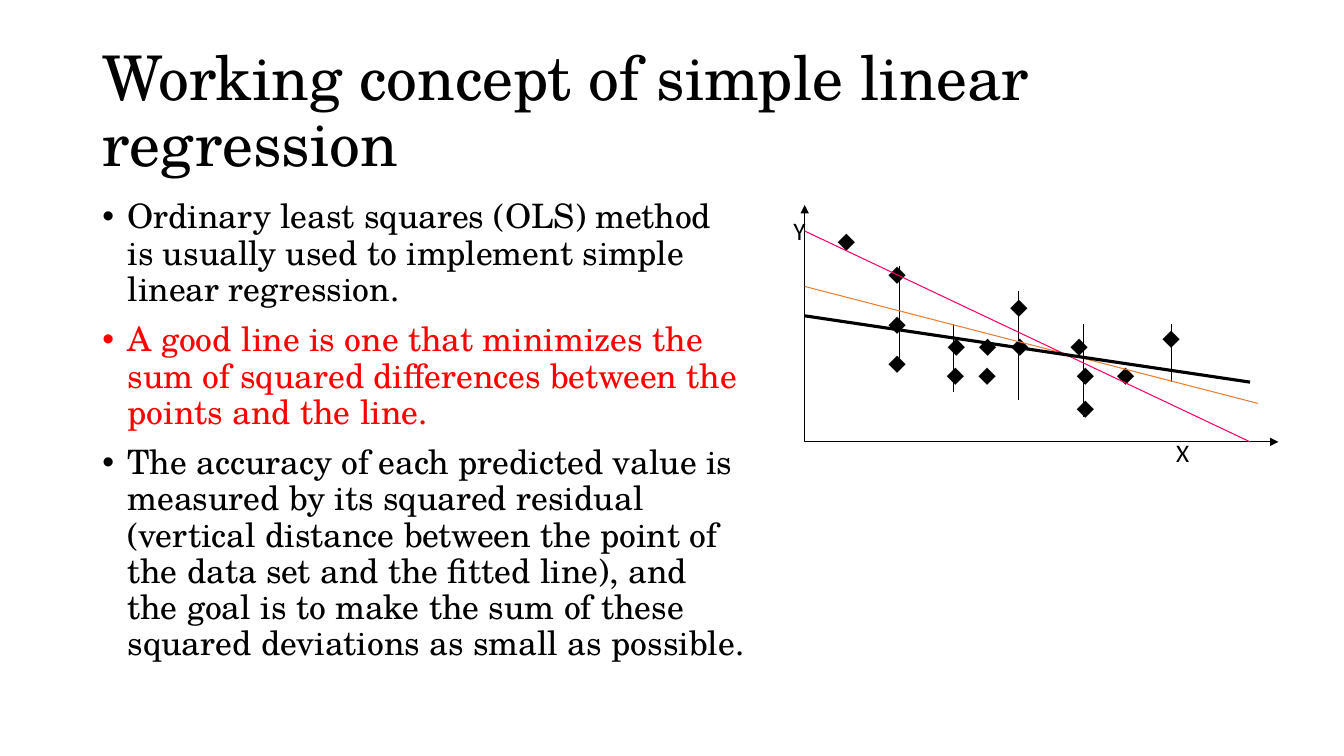
from dataclasses import dataclass
from typing import NamedTuple

from pptx import Presentation, util as u
from pptx.dml.color import RGBColor
from pptx.enum import shapes, text
from pptx.oxml import ns, xmlchemy as xml


@dataclass(frozen=True)
class Theme:
    serif: str = "TeX Gyre Schola"
    symbol: str = "Arial"
    label: str = "Calibri"
    black: str = "000000"
    red: str = "FF0000"
    orange: str = "ED7D31"
    pink: str = "FF0066"
    title: float = 44
    body: float = 24
    mark: float = 18
    thin: float = 0.75
    thick: float = 2.25


class Point(NamedTuple):
    """A place in plot units, y upwards."""
    x: float
    y: float


class Segment(NamedTuple):
    start: Point
    end: Point
    color: str
    width: float


class Mark(NamedTuple):
    text: str
    at: Point
    font: str


class Bullet(NamedTuple):
    text: str
    color: str


T = Theme()
WIDTH, HEIGHT = u.Inches(13.333), u.Inches(7.5)
COL, ROW = WIDTH / 160, HEIGHT / 90

# The plot is 100 units wide and 50 high, measured from the axes' corner.
PLOT_LEFT, PLOT_BASE = 95.8 * COL, 52.6 * ROW
UNIT = 56.4 * COL / 100
MARK_W, MARK_H = 4.2 * COL, 4.8 * ROW

BULLETS = [
    Bullet("Ordinary least squares (OLS) method is usually used to implement "
           "simple linear regression.", T.black),
    Bullet("A good line is one that minimizes the sum of squared differences "
           "between the points and the line.", T.red),
    Bullet("The accuracy of each predicted value is measured by its squared "
           "residual (vertical distance between the point of the data set and "
           "the fitted line), and the goal is to make the sum of these squared "
           "deviations as small as possible.", T.black),
]

# Height of each row of data, with the x values found there.
DATA = {42.8: [8.6], 35.7: [19.3], 28.7: [45], 25.1: [19.3], 22.3: [77.1],
        20.6: [31.8, 38.4, 45.2, 57.7], 17: [19.3],
        14.5: [31.6, 38.3, 59, 67.5], 7.4: [59]}
MARKS = [Mark("⬥", Point(x, y), T.symbol) for y, xs in DATA.items() for x in xs]
MARKS += [Mark("X", Point(79.8, -2.3), T.label),
          Mark("Y", Point(-1.1, 44.7), T.label)]

# x, top and bottom of each vertical residual.
RESIDUALS = [(20, 37.2, 16), (31.5, 24.9, 10.6), (45.1, 31.9, 8.9),
             (58.9, 24.9, 5.3), (77.4, 24.9, 12.6)]
SEGMENTS = [Segment(Point(x, top), Point(x, bottom), T.black, T.thin)
            for x, top, bottom in RESIDUALS]
SEGMENTS += [
    Segment(Point(0, 32.8), Point(95.7, 8.1), T.orange, T.thin),
    Segment(Point(0, 44.5), Point(94, 0), T.pink, T.thin),
    Segment(Point(0, 26.6), Point(94, 12.6), T.black, T.thick),
]


def place(p: Point) -> tuple[int, int]:
    """Turn plot units into slide lengths."""
    return round(PLOT_LEFT + p.x * UNIT), round(PLOT_BASE - p.y * UNIT)


def grid_box(col: float, row: float, cols: float, rows: float) -> list[int]:
    return [round(v) for v in (col * COL, row * ROW, cols * COL, rows * ROW)]


def format_runs(p, font: str, size: float, color: str) -> None:
    for r in p.runs:
        r.font.name, r.font.size = font, u.Pt(size)
        r.font.color.rgb = RGBColor.from_string(color)


def format_line(line, color: str, width: float) -> None:
    line.color.rgb = RGBColor.from_string(color)
    line.width = u.Pt(width)


def add_title(s, wording: str) -> None:
    sp = s.shapes.title
    sp.left, sp.top, sp.width, sp.height = grid_box(11, 4.8, 138, 17.4)
    tf = sp.text_frame
    tf.text = wording
    tf.word_wrap, tf.auto_size = True, text.MSO_AUTO_SIZE.NONE
    tf.vertical_anchor = text.MSO_ANCHOR.MIDDLE
    p = tf.paragraphs[0]
    p.alignment, p.line_spacing = text.PP_ALIGN.LEFT, 0.9
    format_runs(p, T.serif, T.title, T.black)


def add_bullets(s, bullets: list[Bullet]) -> None:
    tf = s.shapes.add_textbox(*grid_box(11, 23.2, 79, 62)).text_frame
    tf.word_wrap = True
    tf.text = "\n".join(b.text for b in bullets)
    for p, bullet in zip(tf.paragraphs, bullets):
        p.line_spacing, p.space_before = 0.9, u.Pt(10)
        format_runs(p, T.serif, T.body, bullet.color)
        pPr = p._p.get_or_add_pPr()
        pPr.set("marL", str(u.Inches(0.25)))
        pPr.set("indent", str(-u.Inches(0.25)))
        for tag, key, value in (("a:buFont", "typeface", T.symbol),
                                ("a:buChar", "char", "•")):
            item = xml.OxmlElement(tag)
            item.set(key, value)
            pPr.append(item)


def add_axes(s) -> None:
    top, corner, right = map(place, (Point(0, 50), Point(0, 0), Point(100, 0)))
    builder = s.shapes.build_freeform(*top)
    builder.add_line_segments([corner, right], close=False)
    sp = builder.convert_to_shape()
    sp.shadow.inherit = False
    sp.fill.background()
    format_line(sp.line, T.black, T.thin)
    ln = sp._element.spPr.find(ns.qn("a:ln"))
    for tag in ("a:headEnd", "a:tailEnd"):
        end = xml.OxmlElement(tag)
        end.set("type", "triangle")
        ln.append(end)


def add_mark(s, mark: Mark) -> None:
    x, y = place(mark.at)
    sp = s.shapes.add_textbox(round(x - MARK_W / 2), round(y - MARK_H / 2),
                              round(MARK_W), round(MARK_H))
    tf = sp.text_frame
    tf.text = mark.text
    tf.word_wrap, tf.auto_size = False, text.MSO_AUTO_SIZE.SHAPE_TO_FIT_TEXT
    p = tf.paragraphs[0]
    p.alignment = text.PP_ALIGN.CENTER
    format_runs(p, mark.font, T.mark, T.black)


def add_segment(s, segment: Segment) -> None:
    line = s.shapes.add_connector(shapes.MSO_CONNECTOR.STRAIGHT,
                                  *place(segment.start), *place(segment.end))
    format_line(line.line, segment.color, segment.width)
    line._element.spPr.append(xml.OxmlElement("a:effectLst"))


def main() -> None:
    prs = Presentation()
    prs.slide_width, prs.slide_height = WIDTH, HEIGHT
    s = prs.slides.add_slide(prs.slide_layouts.get_by_name("Title Only"))
    add_title(s, "Working concept of simple linear regression")
    add_bullets(s, BULLETS)
    add_axes(s)
    for mark in MARKS:
        add_mark(s, mark)
    for segment in SEGMENTS:
        add_segment(s, segment)
    prs.save("out.pptx")


if __name__ == "__main__":
    main()
